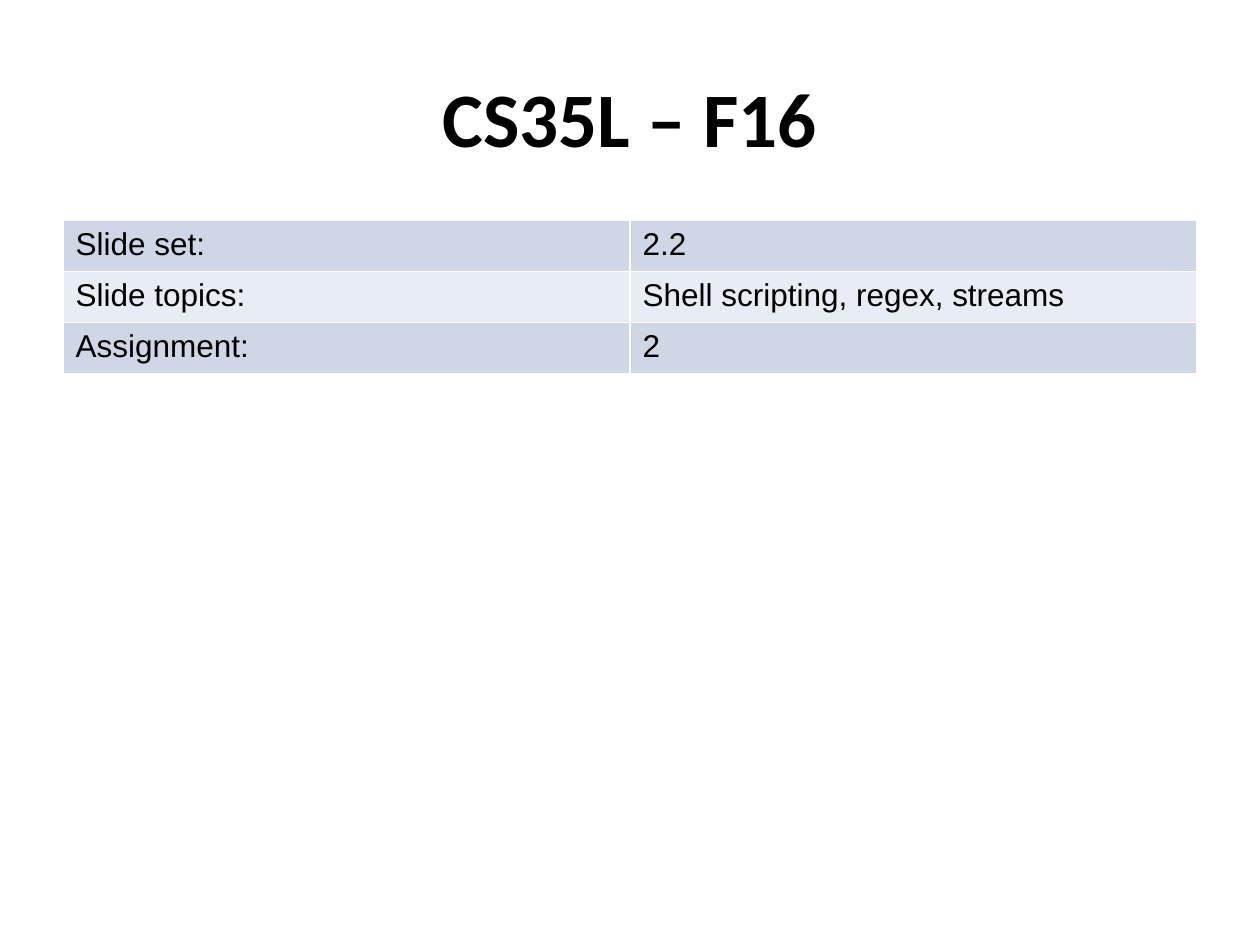
from dataclasses import dataclass

from pptx import Presentation
from pptx import util as u
from pptx.dml.color import RGBColor
from pptx.enum import text

# Content
TITLE = "CS35L – F16"
ROWS = [
    ("Slide set:", "2.2"),
    ("Slide topics:", "Shell scripting, regex, streams"),
    ("Assignment:", "2"),
]


@dataclass
class Theme:
    ink: str = "000000"
    bands: tuple = ("CFD7E7", "E8ECF4")
    head: tuple = ("Calibri", 44, True)
    body: tuple = ("Arial", 18, False)


theme = Theme()
LEFT, WIDTH, ROW = 0.5, 9, 0.405


def write(frame, words, style):
    run = frame.paragraphs[0].add_run()
    run.text = words
    font = run.font
    font.name, size, font.bold = style
    font.size = u.Pt(size)
    font.color.rgb = RGBColor.from_string(theme.ink)


# Slide
deck = Presentation()
deck.slide_width, deck.slide_height = u.Inches(10), u.Inches(7.5)
slide = deck.slides.add_slide(deck.slide_layouts[6])

# Title
box = slide.shapes.add_textbox(
    u.Inches(LEFT), u.Inches(0.3), u.Inches(WIDTH), u.Inches(1.25))
frame = box.text_frame
frame.word_wrap = True
frame.vertical_anchor = text.MSO_ANCHOR.MIDDLE
frame.paragraphs[0].alignment = text.PP_ALIGN.CENTER
write(frame, TITLE, theme.head)

# Table: the default style draws the white borders
table = slide.shapes.add_table(
    len(ROWS), len(ROWS[0]), u.Inches(LEFT), u.Inches(1.75),
    u.Inches(WIDTH), u.Inches(ROW * len(ROWS))).table
table.first_row = False
for r, row in enumerate(ROWS):
    for c, words in enumerate(row):
        cell = table.cell(r, c)
        cell.fill.solid()
        cell.fill.fore_color.rgb = RGBColor.from_string(theme.bands[r % 2])
        write(cell.text_frame, words, theme.body)

deck.save("out.pptx")
